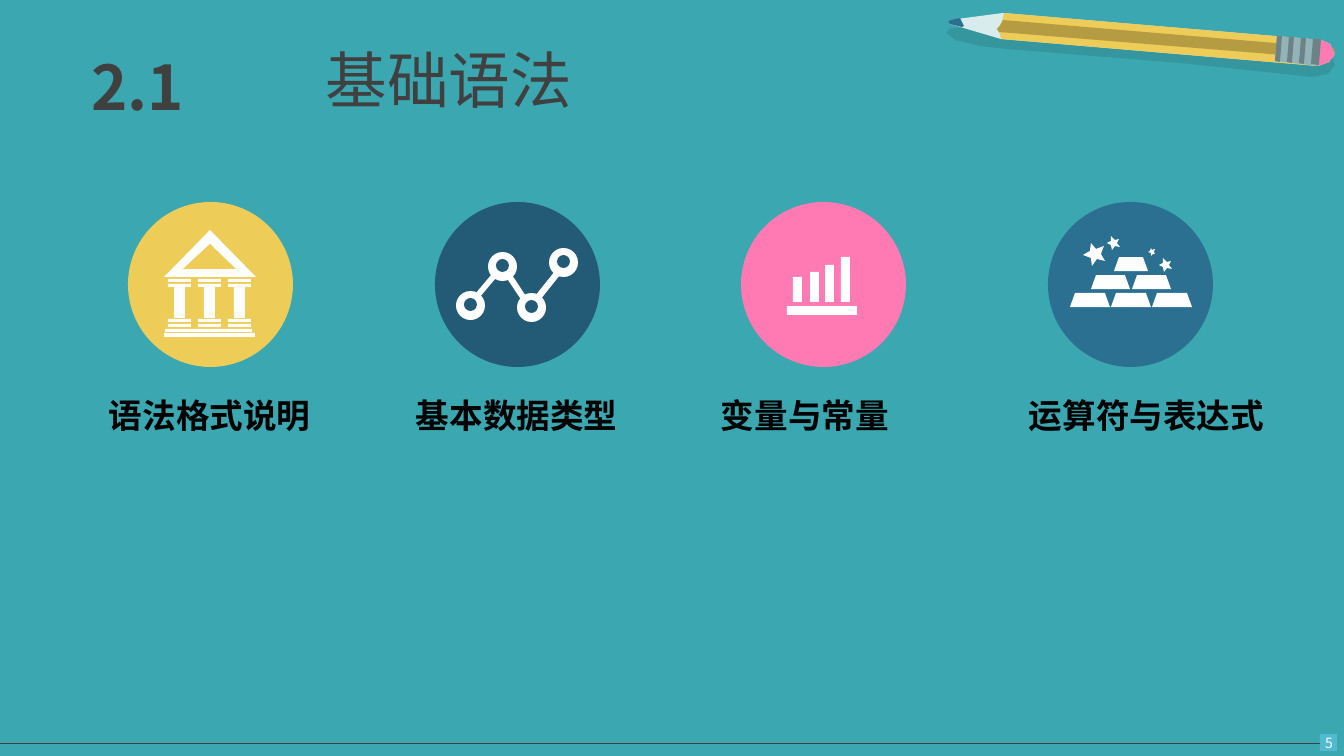
import math
import pptx
import pptx.util
from pptx.dml.color import RGBColor
from pptx.enum.shapes import MSO_CONNECTOR, MSO_SHAPE
from pptx.enum.text import MSO_ANCHOR, PP_ALIGN
from pptx.oxml.ns import qn
from lxml import etree

PX = 12192000 / 1344
TEAL = RGBColor(0x3B, 0xA7, 0xB0)
SHADE = RGBColor(0x35, 0x96, 0x9E)
WOOD = RGBColor(0xD8, 0xEB, 0xED)
GOLD = RGBColor(0xED, 0xCC, 0x58)
BROWN = RGBColor(0xB5, 0x9C, 0x43)
METAL = RGBColor(0x93, 0xB3, 0xB8)
STEEL = RGBColor(0x6B, 0x83, 0x87)
BLUE = RGBColor(0x2B, 0x6F, 0x91)
NAVY = RGBColor(0x23, 0x5A, 0x75)
PINK = RGBColor(0xFF, 0x7A, 0xB2)
CYAN = RGBColor(0x51, 0xBA, 0xCF)
GREY = RGBColor(0x40, 0x40, 0x40)
BLACK = RGBColor(0, 0, 0)
WHITE = RGBColor(0xFF, 0xFF, 0xFF)
RECT = MSO_SHAPE.RECTANGLE
OVAL = MSO_SHAPE.OVAL

deck = pptx.Presentation()
deck.slide_width = round(1344 * PX)
deck.slide_height = round(756 * PX)
slide = deck.slides.add_slide(deck.slide_layouts[6])
slide.background.fill.solid()
slide.background.fill.fore_color.rgb = TEAL
shapes = slide.shapes


def draw(kind, spot, color):
    if kind:
        shape = shapes.add_shape(kind, *[round(n * PX) for n in spot])
    else:
        form = shapes.build_freeform(*spot[0], scale=PX)
        form.add_line_segments(spot[1:], close=True)
        shape = form.convert_to_shape()
    shape.shadow.inherit = False
    shape.fill.solid()
    shape.fill.fore_color.rgb = color
    shape.line.fill.background()


def write(text, spot, size, color, bold=False, face="Noto Sans CJK SC",
          align=PP_ALIGN.CENTER, wrap=False):
    box = shapes.add_textbox(*[round(n * PX) for n in spot])
    frame = box.text_frame
    frame.word_wrap = wrap
    para = frame.paragraphs[0]
    para.text = text
    para.alignment = align
    para.font.size = pptx.util.Pt(size)
    para.font.name = face
    para.font.bold = bold
    para.font.color.rgb = color
    props = para.runs[0]._r.get_or_add_rPr()
    etree.SubElement(props, qn("a:ea")).set("typeface", face)
    return frame


rule = shapes.add_connector(MSO_CONNECTOR.STRAIGHT, 0, round(743 * PX),
                            round(1322 * PX), round(743 * PX))
rule.line.color.rgb = GREY
rule.line.width = pptx.util.Pt(0.5)
etree.SubElement(rule._element.spPr, qn("a:effectLst"))
draw(RECT, (1320, 734, 17, 17), CYAN)
page = write("5", (1307, 734, 44, 17), 10, WHITE)
page.vertical_anchor = MSO_ANCHOR.MIDDLE
page.margin_top = page.margin_bottom = 0

write("基础语法", (298, 37, 302, 85), 44, GREY, wrap=True)
write("2.1", (81, 44, 113, 85), 44, GREY, True, "Noto Sans CJK JP")

end = [(1318, 66), (1329, 62), (1335, 54), (1330, 44), (1321, 40)]
pencil = [
    (SHADE, [(968, 25), (950, 29), (946, 33), (955, 40), (980, 46),
             (1006, 49), (1180, 63), (1284, 74), (1312, 77), (1328, 74),
             (1335, 65), (1331, 55), (1312, 49), (1011, 20), (990, 20)]),
    (WOOD, end + [(1003, 13), (950, 20), (948, 22), (950, 24), (1001, 39)]),
    (GOLD, end + [(1004, 13), (1002, 22), (997, 29), (1000, 34), (1001, 39)]),
    (BROWN, [(1335, 54), (1334, 48), (1003, 20), (1000, 26), (997, 29),
             (999, 32), (1332, 59)]),
    (METAL, end + [(1277, 36), (1276, 49), (1275, 61)]),
    (BLUE, [(950, 24), (962, 27), (964, 26), (960, 18), (950, 20),
            (948, 22)]),
    (PINK, end + [(1319, 39), (1317, 52), (1317, 66)]),
]
for color, points in pencil:
    draw(None, points, color)
for i, wide in enumerate((5, 5, 5, 8)):
    x, y = 1275 + 12 * i, 36 + i
    draw(None, [(x + 2, y), (x + 2 + wide, y), (x + 1 + wide, y + 14),
                (x + wide, y + 26), (x, y + 25), (x + 1, y + 13)], STEEL)

topics = [
    ("语法格式说明", 128, 99, 222, GOLD),
    ("基本数据类型", 435, 406, 222, NAVY),
    ("变量与常量", 741, 711, 188, PINK),
    ("运算符与表达式", 1048, 1019, 255, BLUE),
]
for label, left, start, width, color in topics:
    draw(OVAL, (left, 202, 165, 165), color)
    write(label, (start, 390, width, 50), 24, BLACK, True,
          align=PP_ALIGN.LEFT)

draw(None, [(164, 277), (210, 230), (256, 277)], WHITE)
draw(None, [(183, 269), (210, 244), (236, 269)], GOLD)
for x in (168, 198, 228):
    for y in (279, 284, 319, 324):
        draw(RECT, (x, y, 23, 3), WHITE)
    draw(RECT, (x + 6, 287, 11, 31), WHITE)
draw(RECT, (165, 329, 87, 3), WHITE)
draw(RECT, (164, 333, 91, 4), WHITE)

links = [
    [(568, 265), (532, 310), (527, 306), (563, 261)],
    [(530, 313), (498, 265), (503, 261), (535, 310)],
    [(460, 312), (497, 268), (501, 272), (464, 316)],
]
for points in links:
    draw(None, points, WHITE)
for x, y in ((456, 291), (488, 252), (517, 293), (549, 248)):
    draw(OVAL, (x, y, 29, 29), WHITE)
    draw(OVAL, (x + 8, y + 7, 13, 13), NAVY)

draw(RECT, (787, 306, 70, 9), WHITE)
for x, y in ((793, 277), (810, 272), (825, 265), (841, 257)):
    draw(RECT, (x, y, 9, 302 - y), WHITE)

for x, y, size in ((1095, 254, 12), (1166, 265, 7), (1152, 252, 4),
                   (1114, 243, 7)):
    points = []
    for k in range(10):
        turn = math.radians(33 + 36 * k)
        reach = size * (0.47 if k % 2 else 1)
        points.append((x + reach * math.cos(turn), y + reach * math.sin(turn)))
    draw(None, points, WHITE)

for count, left, top, width in ((1, 1114, 257, 34), (2, 1091, 275, 39),
                                (3, 1070, 293, 40)):
    for i in range(count):
        x = left + 41 * i
        draw(None, [(x + 5, top), (x + width - 5, top),
                    (x + width, top + 14), (x, top + 14)], WHITE)

deck.save("out.pptx")
